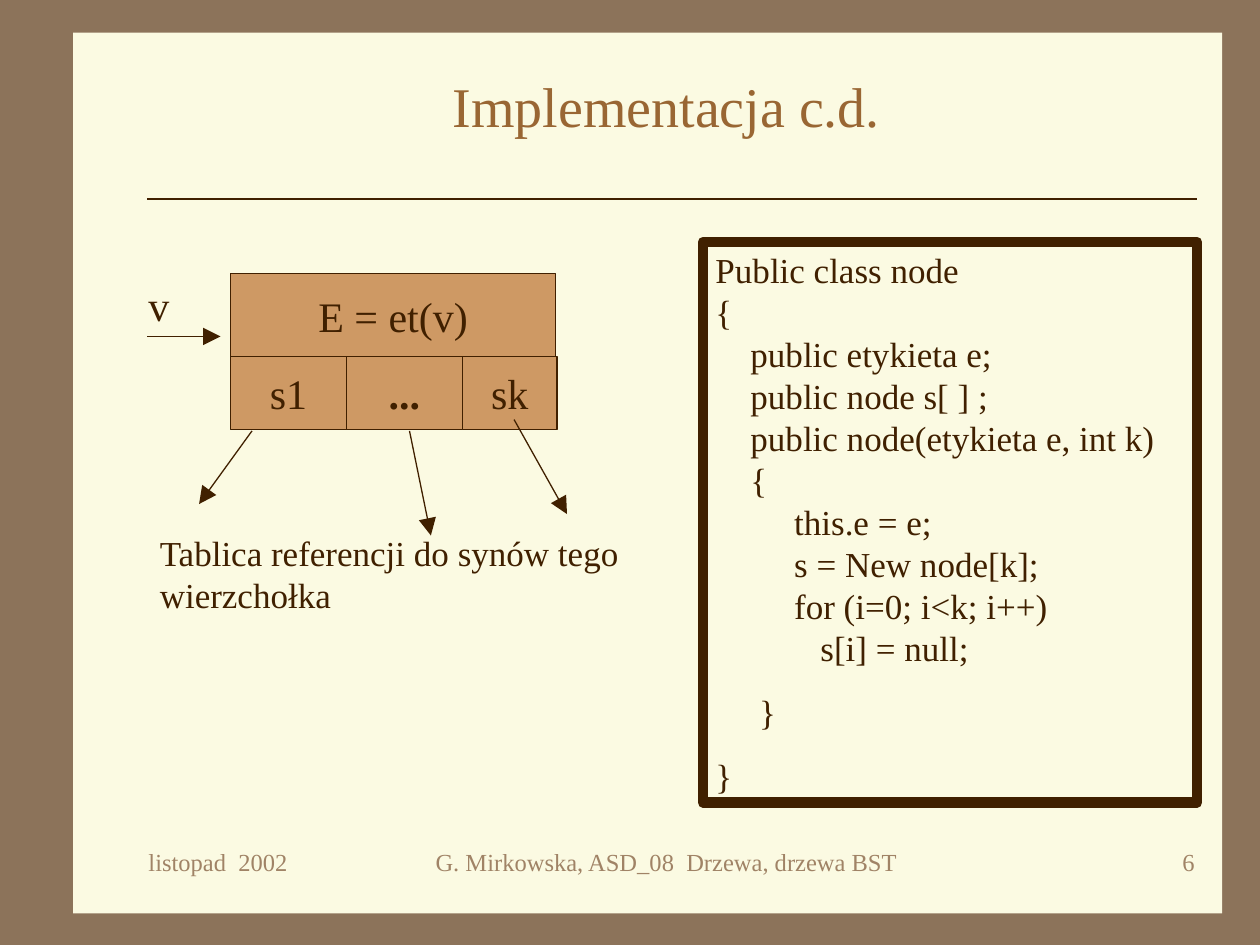
from lxml import etree
from pptx import Presentation
from pptx.dml.color import RGBColor
from pptx.enum.shapes import MSO_CONNECTOR, MSO_SHAPE
from pptx.enum.text import MSO_ANCHOR, PP_ALIGN
from pptx.oxml.ns import qn
from pptx.util import Inches, Pt

RECTANGLE = MSO_SHAPE.RECTANGLE
STRAIGHT = MSO_CONNECTOR.STRAIGHT
TOP, MIDDLE = MSO_ANCHOR.TOP, MSO_ANCHOR.MIDDLE
LEFT, CENTER, RIGHT = PP_ALIGN.LEFT, PP_ALIGN.CENTER, PP_ALIGN.RIGHT

FONT = "Times New Roman"
FRAME, PAPER, NODE = "8C735A", "FBFAE2", "CE9964"
INK, HEADING, FOOTER = "402000", "996633", "A08366"

CODE = [
    """Public class node
{
    public etykieta e;
    public node s[ ] ;
    public node(etykieta e, int k)
    {
         this.e = e;
         s = New node[k];
         for (i=0; i<k; i++)
            s[i] = null;""",
    "     }",
    "}",
]


def color(value):
    return RGBColor.from_string(value)


def write(frame, paragraphs, size, ink=INK, align=LEFT, anchor=TOP,
          bold=False, wrap=True, gap=0):
    frame.word_wrap = wrap
    frame.vertical_anchor = anchor
    for index, content in enumerate(paragraphs):
        paragraph = frame.add_paragraph() if index else frame.paragraphs[0]
        paragraph.alignment = align
        if index:
            paragraph.space_before = Pt(gap)
        for number, line in enumerate(content.split("\n")):
            if number:
                paragraph.add_line_break()
            run = paragraph.add_run()
            run.text = line
            run.font.name = FONT
            run.font.size = Pt(size)
            run.font.bold = bold
            run.font.color.rgb = color(ink)


def add_label(slide, content, left, top, width, height, size, **style):
    label = slide.shapes.add_textbox(
        Inches(left), Inches(top), Inches(width), Inches(height))
    write(label.text_frame, [content], size, **style)


def add_box(slide, left, top, width, height, fill=None, outline=None, weight=0.75):
    box = slide.shapes.add_shape(
        RECTANGLE, Inches(left), Inches(top), Inches(width), Inches(height))
    box.shadow.inherit = False
    if fill:
        box.fill.solid()
        box.fill.fore_color.rgb = color(fill)
    else:
        box.fill.background()
    if outline:
        box.line.color.rgb = color(outline)
        box.line.width = Pt(weight)
    else:
        box.line.fill.background()
    return box


def add_cell(slide, content, left, top, width, height, bold=False):
    cell = add_box(slide, left, top, width, height, NODE, INK)
    write(cell.text_frame, [content], 24, align=CENTER, anchor=MIDDLE,
          bold=bold, wrap=False)


def add_line(slide, start, end, arrow=False):
    line = slide.shapes.add_connector(STRAIGHT, *map(Inches, start + end))
    line.line.color.rgb = color(INK)
    line.line.width = Pt(0.75)
    if arrow:
        etree.SubElement(line.line._get_or_add_ln(), qn("a:tailEnd"),
                         type="triangle", w="lg", len="lg")
    etree.SubElement(line._element.spPr, qn("a:effectLst"))


def add_title(slide, content):
    title = slide.shapes.title
    title.left, title.top = Inches(1.08), Inches(0.5)
    title.width, title.height = Inches(8.42), Inches(0.67)
    write(title.text_frame, [content], 32, HEADING, CENTER, MIDDLE)


def add_node_diagram(slide):
    add_cell(slide, "E = et(v)", 1.83, 2.17, 2.58, 0.67)
    left = 1.83
    for content, width in (("s1", 0.92), ("...", 0.92), ("sk", 0.75)):
        add_cell(slide, content, left, 2.83, width, 0.58, bold=content == "...")
        left += width
    add_label(slide, "v", 1.08, 2.17, 0.5, 0.5, 24)
    for start, end in (
        ((1.17, 2.67), (1.75, 2.67)),
        ((2, 3.42), (1.58, 4)),
        ((3.25, 3.42), (3.42, 4.25)),
        ((4.08, 3.33), (4.5, 4.08)),
    ):
        add_line(slide, start, end, arrow=True)
    add_label(slide, "Tablica referencji do synów tego wierzchołka",
              1.17, 4.17, 4.33, 0.77, 20)


def add_code(slide):
    listing = add_box(slide, 5.58, 1.92, 3.92, 4.45, outline=INK, weight=6)
    write(listing.text_frame, CODE, 20, gap=12.5)


def add_footer(slide):
    for content, left, width, align in (
        ("listopad  2002", 1.08, 2.08, LEFT),
        ("G. Mirkowska, ASD_08  Drzewa, drzewa BST", 3.08, 4.42, CENTER),
        ("6", 7.5, 2.08, RIGHT),
    ):
        add_label(slide, content, left, 6.67, width, 0.5, 14,
                  ink=FOOTER, align=align)


def main():
    deck = Presentation()
    deck.slide_width, deck.slide_height = Inches(10), Inches(7.5)
    slide = deck.slides.add_slide(deck.slide_layouts[5])
    slide.background.fill.solid()
    slide.background.fill.fore_color.rgb = color(FRAME)
    paper = add_box(slide, 0.58, 0.26, 9.12, 6.99, PAPER)
    slide.shapes.title._element.addprevious(paper._element)
    add_line(slide, (1.17, 1.58), (9.5, 1.58))
    add_title(slide, "Implementacja c.d.")
    add_node_diagram(slide)
    add_code(slide)
    add_footer(slide)
    deck.save("out.pptx")


if __name__ == "__main__":
    main()
